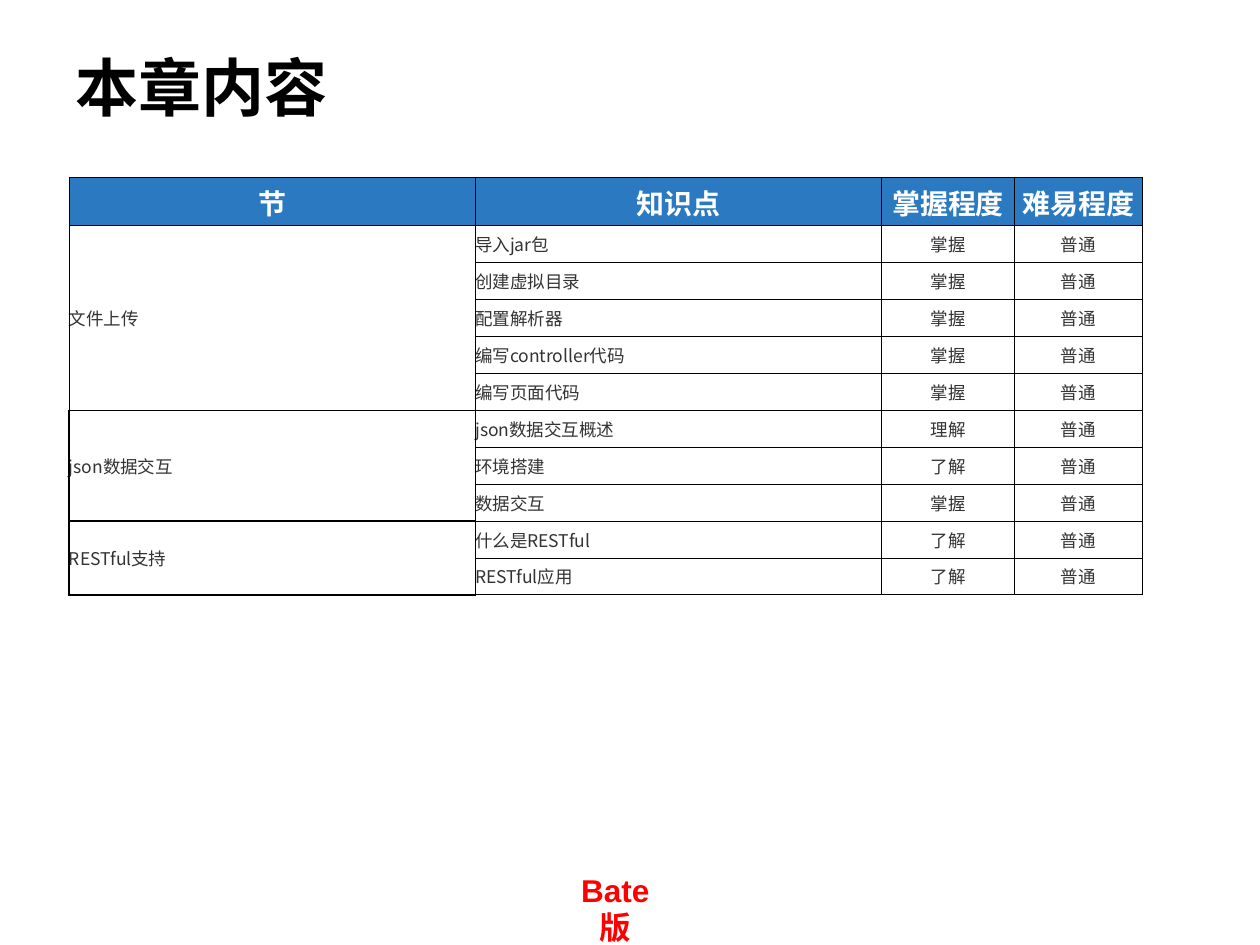
from lxml import etree
from pptx import Presentation
from pptx.dml.color import RGBColor
from pptx.enum.text import MSO_ANCHOR, PP_ALIGN
from pptx.oxml.ns import qn
from pptx.util import Pt

LEFT, CENTER = PP_ALIGN.LEFT, PP_ALIGN.CENTER
TOP, MIDDLE = MSO_ANCHOR.TOP, MSO_ANCHOR.MIDDLE

BLACK = RGBColor(0x00, 0x00, 0x00)
WHITE = RGBColor(0xFF, 0xFF, 0xFF)
RED = RGBColor(0xFF, 0x00, 0x00)
BLUE = RGBColor(0x2A, 0x79, 0xC1)
GREY = RGBColor(0x33, 0x33, 0x33)

CJK_FONT = "Noto Sans CJK SC"
TITLE = dict(name=CJK_FONT, size=Pt(36), bold=True)
HEADER = dict(name=CJK_FONT, size=Pt(16), bold=True)
TOPIC = dict(name=CJK_FONT, size=Pt(10), bold=False)
LEVEL = dict(name="Times New Roman", size=Pt(10), bold=False)
EDITION = dict(name="Arial", size=Pt(18), bold=True)

THIN, THICK = 0.5, 1

HEADINGS = ["节", "知识点", "掌握程度", "难易程度"]
DIFFICULTY = "普通"
# Section, border width, topics with the level of mastery
SECTIONS = [
    ("文件上传", THIN, [
        ("导入jar包", "掌握"),
        ("创建虚拟目录", "掌握"),
        ("配置解析器", "掌握"),
        ("编写controller代码", "掌握"),
        ("编写页面代码", "掌握"),
    ]),
    ("json数据交互", THICK, [
        ("json数据交互概述", "理解"),
        ("环境搭建", "了解"),
        ("数据交互", "掌握"),
    ]),
    ("RESTful支持", THICK, [
        ("什么是RESTful", "了解"),
        ("RESTful应用", "了解"),
    ]),
]
COLUMN_WIDTHS = [232.2, 232.2, 76, 72.8]
HEADER_HEIGHT, ROW_HEIGHT = 27.5, 21.1


def write(frame, text, font_format, color, align):
    paragraph = frame.paragraphs[0]
    paragraph.alignment = align
    run = paragraph.add_run()
    run.text = text
    for key, value in font_format.items():
        setattr(run.font, key, value)
    run.font.color.rgb = color
    east_asian = etree.SubElement(run.font._element, qn("a:ea"))
    east_asian.set("typeface", CJK_FONT)


def add_text(slide, box, text, font_format, color, align, anchor, right_inset=7.2):
    frame = slide.shapes.add_textbox(*map(Pt, box)).text_frame
    frame.word_wrap = True
    frame.vertical_anchor = anchor
    frame.margin_right = Pt(right_inset)
    write(frame, text, font_format, color, align)


def set_borders(cell, left=THIN, right=THIN, top=THIN, bottom=THIN):
    properties = cell._tc.get_or_add_tcPr()
    for side, width in zip("LRTB", (left, right, top, bottom)):
        line = etree.SubElement(properties, qn(f"a:ln{side}"), w=str(Pt(width)))
        fill = etree.SubElement(line, qn("a:solidFill"))
        etree.SubElement(fill, qn("a:srgbClr"), val=str(BLACK))


def style_cell(cell, fill, inset=0, **borders):
    set_borders(cell, **borders)
    cell.fill.solid()
    cell.fill.fore_color.rgb = fill
    cell.vertical_anchor = MIDDLE
    for side in ("left", "right", "top"):
        setattr(cell, f"margin_{side}", Pt(inset))
    cell.margin_bottom = 0


def add_section(table, first, name, border, topics, above):
    """Fill the rows of one section, whose first column is merged."""
    last = first + len(topics) - 1
    for row, (topic, level) in enumerate(topics, first):
        style_cell(table.cell(row, 0), WHITE, left=border, right=border,
                   top=above, bottom=border)
        entries = [(topic, TOPIC, LEFT), (level, LEVEL, CENTER),
                   (DIFFICULTY, LEVEL, CENTER)]
        for column, (text, font_format, align) in enumerate(entries, 1):
            cell = table.cell(row, column)
            style_cell(cell, WHITE, left=border if column == 1 else THIN)
            write(cell.text_frame, text, font_format, GREY, align)
    section_cell = table.cell(first, 0)
    section_cell.merge(table.cell(last, 0))
    write(section_cell.text_frame, name, TOPIC, GREY, LEFT)
    return last + 1


def add_contents_table(slide, left, top):
    row_count = sum(len(topics) for _, _, topics in SECTIONS)
    height = HEADER_HEIGHT + row_count * ROW_HEIGHT
    table = slide.shapes.add_table(
        row_count + 1, len(HEADINGS),
        Pt(left), Pt(top), Pt(sum(COLUMN_WIDTHS)), Pt(height)).table
    for column, width in zip(table.columns, COLUMN_WIDTHS):
        column.width = Pt(width)
    for row in table.rows:
        row.height = Pt(ROW_HEIGHT)
    table.rows[0].height = Pt(HEADER_HEIGHT)

    for column, heading in enumerate(HEADINGS):
        cell = table.cell(0, column)
        style_cell(cell, BLUE, inset=0.7)
        write(cell.text_frame, heading, HEADER, WHITE, CENTER)
    row, above = 1, THIN
    for name, border, topics in SECTIONS:
        row = add_section(table, row, name, border, topics, above)
        above = border


def main():
    presentation = Presentation()
    presentation.slide_width, presentation.slide_height = Pt(720), Pt(540)
    slide = presentation.slides.add_slide(presentation.slide_layouts[6])
    add_text(slide, (324, 494, 72, 29), "Bate版", EDITION, RED, CENTER, TOP,
             right_inset=24)
    add_text(slide, (36, 21.6, 574, 55.4), "本章内容", TITLE, BLACK, LEFT, MIDDLE)
    add_contents_table(slide, 39.4, 101.5)
    presentation.save("out.pptx")


if __name__ == "__main__":
    main()
